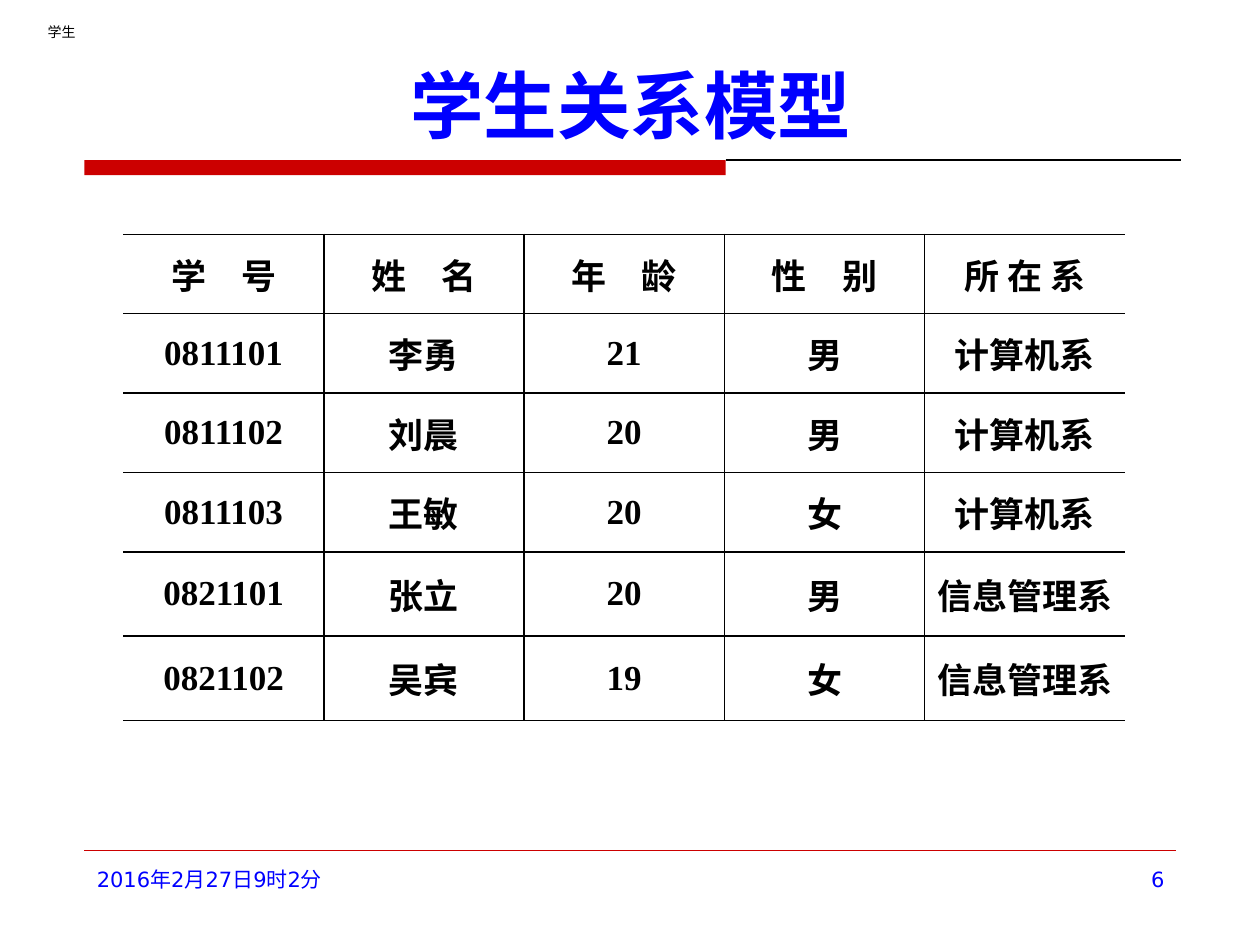
"""Build the student relation model slide."""
import pptx
import pptx.util
import pptx.dml.color
import pptx.enum.shapes
import pptx.enum.text
import pptx.oxml.ns
import lxml.etree

Inches, Pt = pptx.util.Inches, pptx.util.Pt
ALIGN, ANCHOR = pptx.enum.text.PP_ALIGN, pptx.enum.text.MSO_ANCHOR
qn = pptx.oxml.ns.qn

TITLE = "学生关系模型"
ROWS = [
    ("学　号", "姓　名", "年　龄", "性　别", "所 在 系"),
    ("0811101", "李勇", "21", "男", "计算机系"),
    ("0811102", "刘晨", "20", "男", "计算机系"),
    ("0811103", "王敏", "20", "女", "计算机系"),
    ("0821101", "张立", "20", "男", "信息管理系"),
    ("0821102", "吴宾", "19", "女", "信息管理系"),
]
ROW_HEIGHTS = [0.63] * 4 + [0.67] * 2
COL_WIDTH = 1.59
FOOTERS = [
    ("2016年2月27日9时2分", 0.67, 2.21, ALIGN.LEFT),
    ("6", 7.17, 2.17, ALIGN.RIGHT),
]
BLUE, RED, BLACK = "0000FF", "CC0000", "000000"


def rgb(color):
    return pptx.dml.color.RGBColor.from_string(color)


def write(tf, text, font, size, color, align=ALIGN.LEFT, bold=False):
    tf.text = text
    p = tf.paragraphs[0]
    p.alignment = align
    r = p.runs[0]
    r.font.name, r.font.size, r.font.bold = font, Pt(size), bold
    r.font.color.rgb = rgb(color)
    return p


def add_text(s, box, *style):
    tf = s.shapes.add_textbox(*map(Inches, box)).text_frame
    tf.word_wrap = True
    return tf, write(tf, *style)


def add_line(s, x1, x2, y, color, width):
    sp = s.shapes.add_connector(
        pptx.enum.shapes.MSO_CONNECTOR.STRAIGHT, Inches(x1), Inches(y), Inches(x2), Inches(y))
    sp.line.color.rgb = rgb(color)
    sp.line.width = Pt(width)
    lxml.etree.SubElement(sp._element.spPr, qn("a:effectLst"))


def set_border(cell, side, visible):
    ln = lxml.etree.SubElement(cell._tc.get_or_add_tcPr(), qn(f"a:ln{side}"), w=str(Pt(1)))
    if visible:
        fill = lxml.etree.SubElement(ln, qn("a:solidFill"))
        lxml.etree.SubElement(fill, qn("a:srgbClr"), val=BLACK)
    else:
        lxml.etree.SubElement(ln, qn("a:noFill"))


def add_student_table(s):
    n_cols = len(ROWS[0])
    table = s.shapes.add_table(
        len(ROWS), n_cols, Inches(0.98), Inches(1.86),
        Inches(COL_WIDTH * n_cols), Inches(sum(ROW_HEIGHTS))).table
    table.first_row = table.horz_banding = False
    for col in table.columns:
        col.width = Inches(COL_WIDTH)
    for i, values in enumerate(ROWS):
        table.rows[i].height = Inches(ROW_HEIGHTS[i])
        for j, value in enumerate(values):
            cell = table.cell(i, j)
            cell.vertical_anchor = ANCHOR.MIDDLE
            cell.margin_left = cell.margin_right = Inches(0.07)
            cell.margin_top = cell.margin_bottom = 0
            p = write(cell.text_frame, value, "Times New Roman", 20, BLACK, ALIGN.CENTER, True)
            p.space_after = Pt(2.4)
            for side, visible in (("L", j > 0), ("R", j < n_cols - 1), ("T", True), ("B", True)):
                set_border(cell, side, visible)
            cell.fill.background()


def main():
    prs = pptx.Presentation()
    prs.slide_width, prs.slide_height = Inches(10), Inches(7.5)
    s = prs.slides.add_slide(prs.slide_layouts[5])

    title = s.shapes.title
    title.left, title.top, title.width, title.height = map(Inches, (0.63, 0.33, 8.75, 0.9))
    title.text_frame.vertical_anchor = ANCHOR.BOTTOM
    p = write(title.text_frame, TITLE, "Noto Sans CJK SC", 42, BLUE, ALIGN.CENTER, True)
    lxml.etree.SubElement(p.runs[0].font._element, qn("a:ea"), typeface="Noto Sans CJK SC")

    bar = s.shapes.add_shape(
        pptx.enum.shapes.MSO_SHAPE.RECTANGLE, *map(Inches, (0.67, 1.27, 5.09, 0.12)))
    bar.shadow.inherit = False
    bar.fill.solid()
    bar.fill.fore_color.rgb = rgb(RED)
    bar.line.fill.background()
    add_line(s, 5.76, 9.37, 1.27, BLACK, 0.75)
    add_line(s, 0.67, 9.33, 6.75, RED, 0.25)

    for text, left, width, align in FOOTERS:
        add_text(s, (left, 6.83, width, 0.52), text, "DejaVu Sans", 12, BLUE, align)
    add_student_table(s)

    tf, p = add_text(s, (0, 0, 10, 0.5), "学生", "Arial", 8, BLACK)
    tf.vertical_anchor = ANCHOR.MIDDLE
    p._p.get_or_add_pPr().set("indent", str(Inches(0.28)))

    prs.save("out.pptx")


if __name__ == "__main__":
    main()
